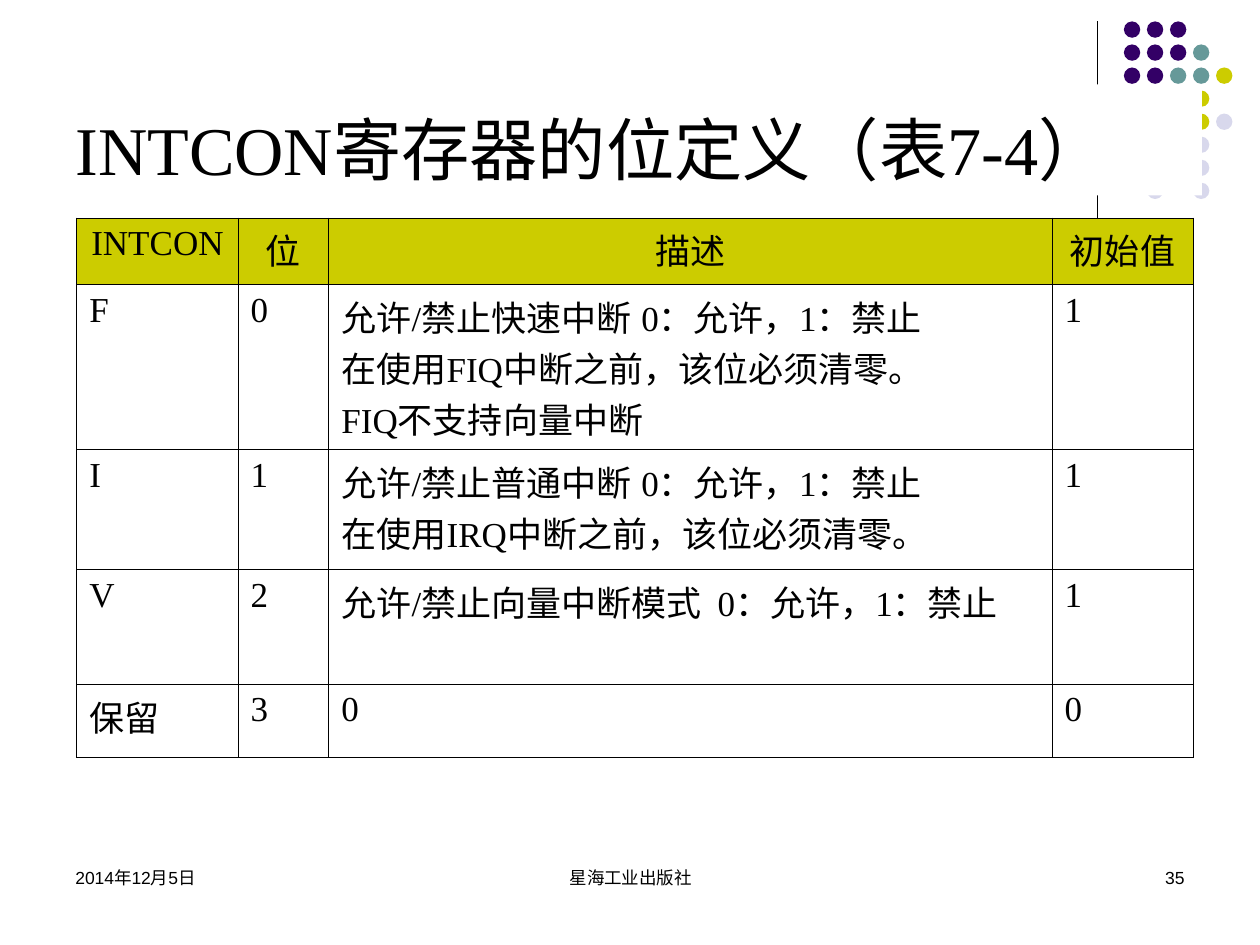
from dataclasses import dataclass

from lxml import etree
from pptx import Presentation
from pptx.dml.color import RGBColor
from pptx.enum.shapes import MSO_CONNECTOR, MSO_SHAPE
from pptx.enum.text import MSO_ANCHOR, PP_ALIGN
from pptx.oxml.ns import qn
from pptx.util import Inches, Pt

COLORS = {
    "ink": "000000",
    "paper": "FFFFFF",
    "purple": "330066",
    "teal": "669999",
    "olive": "CCCC00",
    "lavender": "D8D8EC",
}
SERIF, SANS = "Times New Roman", "Arial"

DOT_KEYS = {"P": "purple", "T": "teal", "O": "olive", "L": "lavender"}
DOT_ROWS = ["PPP", "PPPT", "PPTTO", "   O", "   OL", "   L", "   L", " L L"]
DOT_LEFT, DOT_TOP, DOT_SIZE = Inches(8.92), Inches(0.17), Inches(0.13)
DOT_PITCH = Inches(1.28 / 7)

HANGING_INDENT = Inches(0.38)
VALUE_TAB = Inches(2.9)
BORDER_WIDTH = Pt(0.45)
COLUMN_WIDTHS = [1.28, 0.72, 5.74, 1.12]
ROW_HEIGHTS = [0.53, 1.31, 0.95, 0.91, 0.58]


@dataclass
class Register:
    name: str
    bit: str
    description: list[str]
    initial: str


@dataclass
class Footer:
    text: str
    left: float
    width: float
    align: PP_ALIGN


REGISTERS = [
    Register("INTCON", "位", ["描述"], "初始值"),
    Register("F", "0", ["允许/禁止快速中断\t0：允许，1：禁止",
                        "在使用FIQ中断之前，该位必须清零。",
                        "FIQ不支持向量中断"], "1"),
    Register("I", "1", ["允许/禁止普通中断\t0：允许，1：禁止",
                        "在使用IRQ中断之前，该位必须清零。"], "1"),
    Register("V", "2", ["允许/禁止向量中断模式  0：允许，1：禁止"], "1"),
    Register("保留", "3", ["0"], "0"),
]
FOOTERS = [
    Footer("星海工业出版社", 3.42, 3.17, PP_ALIGN.CENTER),
    Footer("35", 7.17, 2.33, PP_ALIGN.RIGHT),
    Footer("2014年12月5日", 0.5, 2.33, PP_ALIGN.LEFT),
]


def rgb(key: str) -> RGBColor:
    return RGBColor.from_string(COLORS[key])


def add_run(paragraph, text: str, size: float, font: str) -> None:
    run = paragraph.add_run()
    run.text = text
    run.font.size = Pt(size)
    run.font.name = font
    run.font.color.rgb = rgb("ink")


def draw_rule(slide) -> None:
    rule = slide.shapes.add_connector(
        MSO_CONNECTOR.STRAIGHT, Inches(8.71), Inches(0.17), Inches(8.71), Inches(1.83))
    rule.line.color.rgb = rgb("ink")
    rule.line.width = Pt(0.75)
    etree.SubElement(rule._element.spPr, qn("a:effectLst"))


def draw_dots(slide) -> None:
    for row, pattern in enumerate(DOT_ROWS):
        for column, key in enumerate(pattern):
            if key not in DOT_KEYS:
                continue
            dot = slide.shapes.add_shape(
                MSO_SHAPE.OVAL, DOT_LEFT + column * DOT_PITCH,
                DOT_TOP + row * DOT_PITCH, DOT_SIZE, DOT_SIZE)
            dot.shadow.inherit = False
            dot.fill.solid()
            dot.fill.fore_color.rgb = rgb(DOT_KEYS[key])
            dot.line.fill.background()


def draw_title(slide) -> None:
    title = slide.shapes.add_textbox(Inches(0.5), Inches(0.67), Inches(9.04), Inches(0.88))
    title.fill.solid()
    title.fill.fore_color.rgb = rgb("paper")
    title.text_frame.word_wrap = True
    title.text_frame.vertical_anchor = MSO_ANCHOR.BOTTOM
    add_run(title.text_frame.paragraphs[0], "INTCON寄存器的位定义（表7-4）", 39, SERIF)


def hang_paragraph(paragraph, tabbed: bool) -> None:
    """Set the hanging indent and, if tabbed, the stop before the bit values."""
    properties = paragraph._p.get_or_add_pPr()
    properties.set("marL", str(HANGING_INDENT))
    properties.set("indent", str(-HANGING_INDENT))
    if tabbed:
        stops = etree.SubElement(properties, qn("a:tabLst"))
        etree.SubElement(stops, qn("a:tab"), pos=str(VALUE_TAB), algn="l")


def border_cell(cell) -> None:
    properties = cell._tc.get_or_add_tcPr()
    for side in ("lnL", "lnR", "lnT", "lnB"):
        edge = etree.SubElement(properties, qn(f"a:{side}"), w=str(BORDER_WIDTH))
        fill = etree.SubElement(edge, qn("a:solidFill"))
        etree.SubElement(fill, qn("a:srgbClr"), val=COLORS["ink"])


def fill_cell(cell, lines: list[str], header: bool) -> None:
    border_cell(cell)
    if header:
        cell.fill.solid()
        cell.fill.fore_color.rgb = rgb("olive")
    else:
        cell.fill.background()
    frame = cell.text_frame
    for index, line in enumerate(lines):
        paragraph = frame.add_paragraph() if index else frame.paragraphs[0]
        paragraph.alignment = PP_ALIGN.CENTER if header else PP_ALIGN.LEFT
        hang_paragraph(paragraph, "\t" in line)
        add_run(paragraph, line, 20, SERIF)


def draw_registers(slide) -> None:
    table = slide.shapes.add_table(
        len(ROW_HEIGHTS), len(COLUMN_WIDTHS), Inches(0.61), Inches(1.73),
        Inches(sum(COLUMN_WIDTHS)), Inches(sum(ROW_HEIGHTS))).table
    table.horz_banding = False
    table.first_row = False
    for column, width in zip(table.columns, COLUMN_WIDTHS):
        column.width = Inches(width)
    for index, (row, height, register) in enumerate(zip(table.rows, ROW_HEIGHTS, REGISTERS)):
        row.height = Inches(height)
        contents = [[register.name], [register.bit], register.description, [register.initial]]
        for cell, lines in zip(row.cells, contents):
            fill_cell(cell, lines, header=index == 0)


def draw_footer(slide, footer: Footer) -> None:
    box = slide.shapes.add_textbox(
        Inches(footer.left), Inches(6.83), Inches(footer.width), Inches(0.5))
    box.text_frame.word_wrap = True
    paragraph = box.text_frame.paragraphs[0]
    paragraph.alignment = footer.align
    add_run(paragraph, footer.text, 10, SANS)


def main() -> None:
    presentation = Presentation()
    presentation.slide_width = Inches(10)
    presentation.slide_height = Inches(7.5)
    slide = presentation.slides.add_slide(presentation.slide_layouts[6])
    draw_rule(slide)
    draw_dots(slide)
    draw_title(slide)
    draw_registers(slide)
    for footer in FOOTERS:
        draw_footer(slide, footer)
    presentation.save("out.pptx")


if __name__ == "__main__":
    main()
